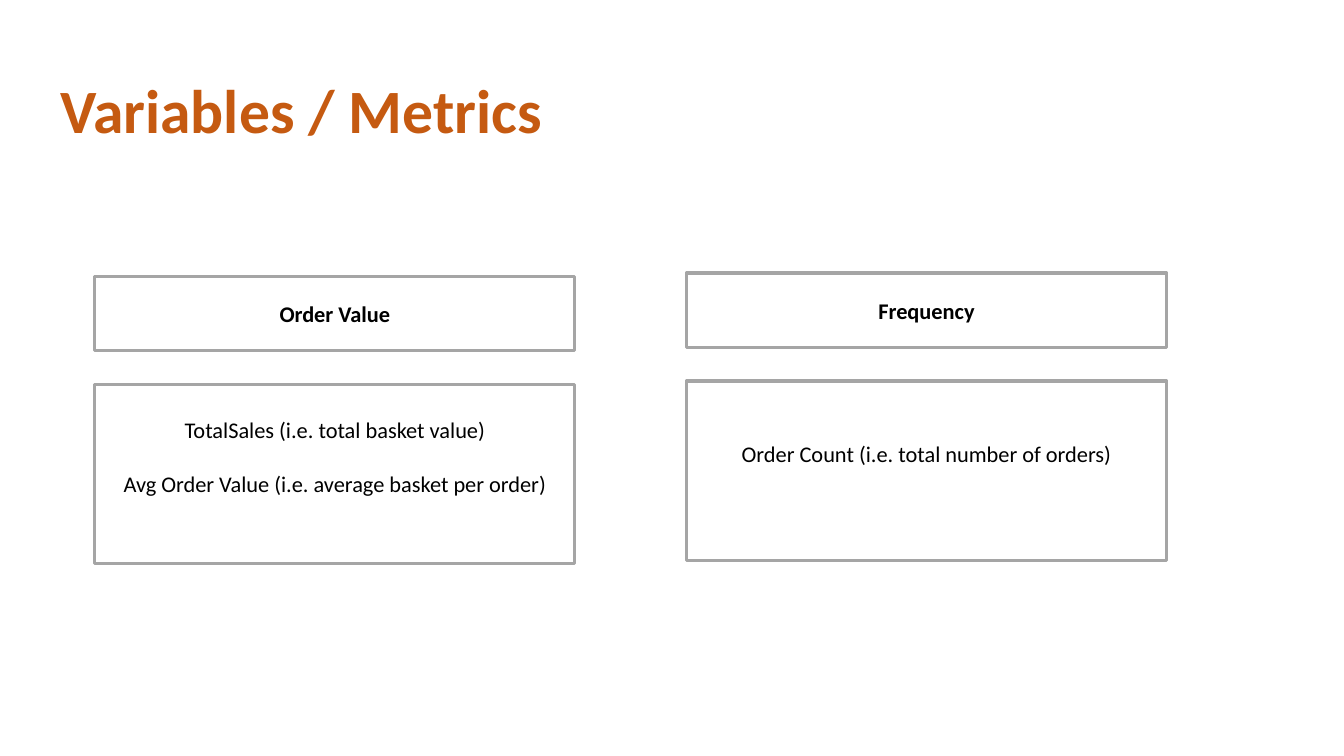
from dataclasses import dataclass

import pptx
import pptx.dml.color
import pptx.enum.shapes
import pptx.enum.text
import pptx.util

Cm = pptx.util.Cm
Pt = pptx.util.Pt
Anchor = pptx.enum.text.MSO_ANCHOR
Align = pptx.enum.text.PP_ALIGN


@dataclass(frozen=True)
class Theme:
    """Colours, font and type sizes of the slide."""
    font: str = "Calibri"
    accent: str = "C55A11"
    ink: str = "000000"
    border: str = "A5A5A5"
    border_width: float = 2.25
    title_size: int = 44
    body_size: int = 16


class MetricsSlide:
    """Draws titles and boxes on the current slide in one style."""

    def __init__(self, slide, theme):
        """Keep the slide and its theme."""
        self.slide = slide
        self.theme = theme

    def set_text(self, frame, lines, size, color, bold, align, anchor):
        """Fill a text frame with evenly styled paragraphs."""
        frame.word_wrap = True
        frame.vertical_anchor = anchor
        frame.text = "\n".join(lines)
        for paragraph in frame.paragraphs:
            paragraph.alignment = align
            for run in paragraph.runs:
                run.font.name = self.theme.font
                run.font.size = Pt(size)
                run.font.bold = bold
                run.font.color.rgb = pptx.dml.color.RGBColor.from_string(color)

    def title(self, text):
        """Add the slide title."""
        frame = self.slide.shapes.add_textbox(Cm(1.27), Cm(1.02), Cm(30.28), Cm(3.68)).text_frame
        self.set_text(frame, [text], self.theme.title_size, self.theme.accent, True,
                      Align.LEFT, Anchor.MIDDLE)
        frame.paragraphs[0].line_spacing = 0.9

    def box(self, left, top, height, lines, bold, anchor):
        """Add an outlined box with centred text and return its text frame."""
        outline = self.slide.shapes.add_shape(pptx.enum.shapes.MSO_SHAPE.RECTANGLE,
                                              Cm(left), Cm(top), Cm(12.1), Cm(height))
        outline.shadow.inherit = False
        outline.fill.background()
        outline.line.color.rgb = pptx.dml.color.RGBColor.from_string(self.theme.border)
        outline.line.width = Pt(self.theme.border_width)
        self.set_text(outline.text_frame, lines, self.theme.body_size, self.theme.ink, bold,
                      Align.CENTER, anchor)
        return outline.text_frame

    def metric_group(self, left, top, heading, metrics, inset):
        """Add a heading box with its box of metrics below."""
        self.box(left, top, 1.88, [heading], True, Anchor.MIDDLE)
        details = self.box(left, top + 2.72, 4.52, metrics, False, Anchor.TOP)
        details.margin_top = Cm(inset)
        for metric in details.paragraphs[1:]:
            metric.space_before = Pt(19.5)


def main():
    """Build and save the presentation."""
    deck = pptx.Presentation()
    deck.slide_width, deck.slide_height = Cm(33.87), Cm(19.05)
    metrics_slide = MetricsSlide(deck.slides.add_slide(deck.slide_layouts[6]), Theme())
    metrics_slide.title("Variables / Metrics")
    metrics_slide.metric_group(2.39, 6.96, "Order Value",
                               ["TotalSales (i.e. total basket value)",
                                "Avg Order Value (i.e. average basket per order)"], 0.81)
    metrics_slide.metric_group(17.3, 6.88, "Frequency",
                               ["Order Count (i.e. total number of orders)"], 1.5)
    deck.save("out.pptx")


if __name__ == "__main__":
    main()
